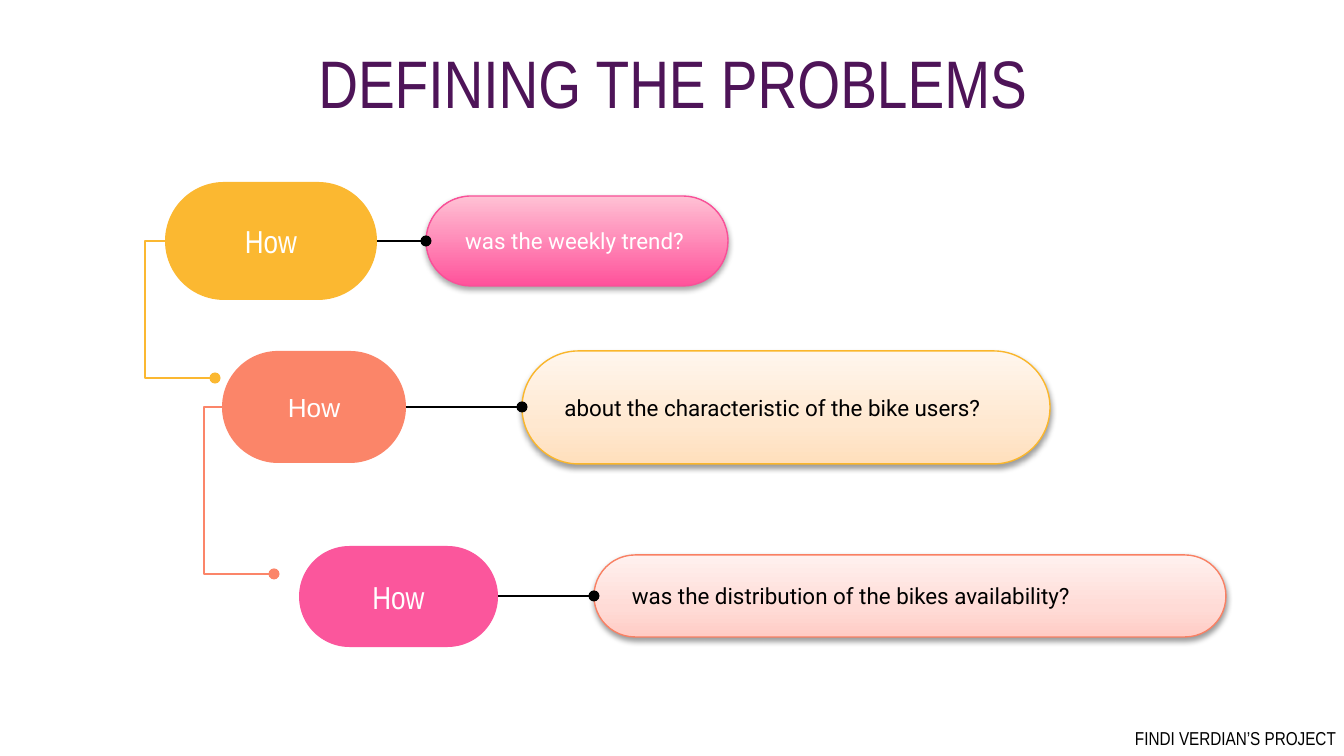
from dataclasses import dataclass
from typing import Optional

from lxml import etree
from pptx import Presentation
from pptx import util as u
from pptx.dml.color import RGBColor
from pptx.enum import shapes, text
from pptx.oxml import ns

PX = u.Inches(10) / 1344
INSET = 13
LINE_WIDTH = u.Pt(0.75)


@dataclass
class Box:
    left: int
    top: int
    width: int
    height: int

    @property
    def right(self) -> int:
        return self.left + self.width

    @property
    def middle(self) -> int:
        return self.top + self.height // 2


@dataclass
class Elbow:
    start: int
    side: int
    end: int
    bottom: int


@dataclass
class Problem:
    pill: Box
    pill_color: str
    pill_font: str
    pill_size: int
    answer: Box
    question: str
    question_color: str
    border: str
    stops: list[tuple[int, str]]
    shadow_alpha: int
    shadow_distance: float
    elbow: Optional[Elbow] = None


PROBLEMS = [
    Problem(Box(165, 182, 212, 118), "FBB831", "Arial Narrow", 17,
            Box(426, 196, 302, 90), "was the weekly trend?", "FFFFFF", "F95098",
            [(0, "FF529B"), (100, "FFC1D4")], 35, 1.8,
            Elbow(165, 145, 215, 378)),
    Problem(Box(222, 351, 184, 112), "FB8569", "Arial", 14,
            Box(522, 351, 528, 113), "about the characteristic of the bike users?",
            "000000", "FAB62B",
            [(0, "FFDFBC"), (35, "FFE8D0"), (100, "FFF6ED")], 38, 1.6,
            Elbow(228, 204, 274, 574)),
    Problem(Box(299, 546, 199, 101), "FB569C", "Arial Narrow", 17,
            Box(594, 555, 632, 82), "was the distribution of the bikes availability?",
            "000000", "F98063",
            [(0, "FFCCC5"), (35, "FFDBD6"), (100, "FFF1EF")], 38, 1.6),
]


def px(value: int) -> u.Emu:
    return u.Emu(round(value * PX))


def rgb(color: str) -> RGBColor:
    return RGBColor.from_string(color)


def place(box: Box) -> list[u.Emu]:
    return [px(value) for value in (box.left, box.top, box.width, box.height)]


def add_element(parent, tag: str, **attributes):
    return etree.SubElement(parent, ns.qn(tag), {k: str(v) for k, v in attributes.items()})


def write(shape, words: str, *, font: str, size: int, color: str,
          align=text.PP_ALIGN.CENTER, anchor=text.MSO_ANCHOR.MIDDLE,
          left: int = INSET, edge: int = INSET, wrap: bool = True) -> None:
    frame = shape.text_frame
    frame.word_wrap = wrap
    frame.vertical_anchor = anchor
    frame.margin_left = px(left)
    frame.margin_right = px(INSET)
    frame.margin_top = frame.margin_bottom = px(edge)
    paragraph = frame.paragraphs[0]
    paragraph.alignment = align
    run = paragraph.add_run()
    run.text = words
    run.font.name = font
    run.font.size = u.Pt(size)
    run.font.color.rgb = rgb(color)


def style_line(line, color: str, dot: bool = False) -> None:
    line.color.rgb = rgb(color)
    line.width = LINE_WIDTH
    if dot:
        add_element(line._get_or_add_ln(), "a:tailEnd", type="oval")


def add_capsule(slide, box: Box):
    shape = slide.shapes.add_shape(shapes.MSO_SHAPE.ROUNDED_RECTANGLE, *place(box))
    shape.adjustments[0] = 0.5
    shape.shadow.inherit = False
    return shape


def add_pill(slide, problem: Problem) -> None:
    shape = add_capsule(slide, problem.pill)
    shape.fill.solid()
    shape.fill.fore_color.rgb = rgb(problem.pill_color)
    shape.line.fill.background()
    write(shape, "How", font=problem.pill_font, size=problem.pill_size, color="FFFFFF")


def add_answer(slide, problem: Problem) -> None:
    shape = add_capsule(slide, problem.answer)
    shape.fill.gradient()
    shape.fill.gradient_angle = 90
    properties = shape._element.spPr
    stop_list = properties.find(".//" + ns.qn("a:gsLst"))
    for stop in list(stop_list):
        stop_list.remove(stop)
    for position, color in problem.stops:
        stop = add_element(stop_list, "a:gs", pos=position * 1000)
        add_element(stop, "a:srgbClr", val=color)
    style_line(shape.line, problem.border)
    effects = properties.find(ns.qn("a:effectLst"))
    shadow = add_element(effects, "a:outerShdw", blurRad=u.Pt(3.1),
                         dist=u.Pt(problem.shadow_distance), dir=5400000, rotWithShape=0)
    shade = add_element(shadow, "a:srgbClr", val="000000")
    add_element(shade, "a:alpha", val=problem.shadow_alpha * 1000)
    write(shape, problem.question, font="Roboto", size=12, color=problem.question_color,
          align=text.PP_ALIGN.LEFT, left=2 * INSET)


def add_elbow(slide, elbow: Elbow, top: int, color: str) -> None:
    builder = slide.shapes.build_freeform(elbow.start, top, scale=PX)
    builder.add_line_segments(
        [(elbow.side, top), (elbow.side, elbow.bottom), (elbow.end, elbow.bottom)], close=False)
    shape = builder.convert_to_shape()
    shape.shadow.inherit = False
    shape.fill.background()
    style_line(shape.line, color, dot=True)


def add_link(slide, problem: Problem) -> None:
    middle = px(problem.answer.middle)
    link = slide.shapes.add_connector(
        shapes.MSO_CONNECTOR.STRAIGHT, px(problem.pill.right), middle,
        px(problem.answer.left), middle)
    style_line(link.line, "000000", dot=True)
    add_element(link._element.spPr, "a:effectLst")


def main() -> None:
    presentation = Presentation()
    presentation.slide_width = px(1344)
    presentation.slide_height = px(756)
    slide = presentation.slides.add_slide(presentation.slide_layouts[6])

    title = slide.shapes.add_textbox(*place(Box(105, 46, 1136, 71)))
    write(title, "DEFINING THE PROBLEMS", font="Arial Narrow", size=36, color="4E1458")

    for problem in PROBLEMS:
        if problem.elbow:
            add_elbow(slide, problem.elbow, problem.pill.middle, problem.pill_color)
        add_pill(slide, problem)
        add_answer(slide, problem)
        add_link(slide, problem)

    footer = slide.shapes.add_textbox(*place(Box(1122, 720, 480, 36)))
    write(footer, "FINDI VERDIAN’S PROJECT", font="Arial Narrow", size=10, color="000000",
          align=text.PP_ALIGN.LEFT, anchor=text.MSO_ANCHOR.TOP, edge=7)

    presentation.save("out.pptx")


if __name__ == "__main__":
    main()
